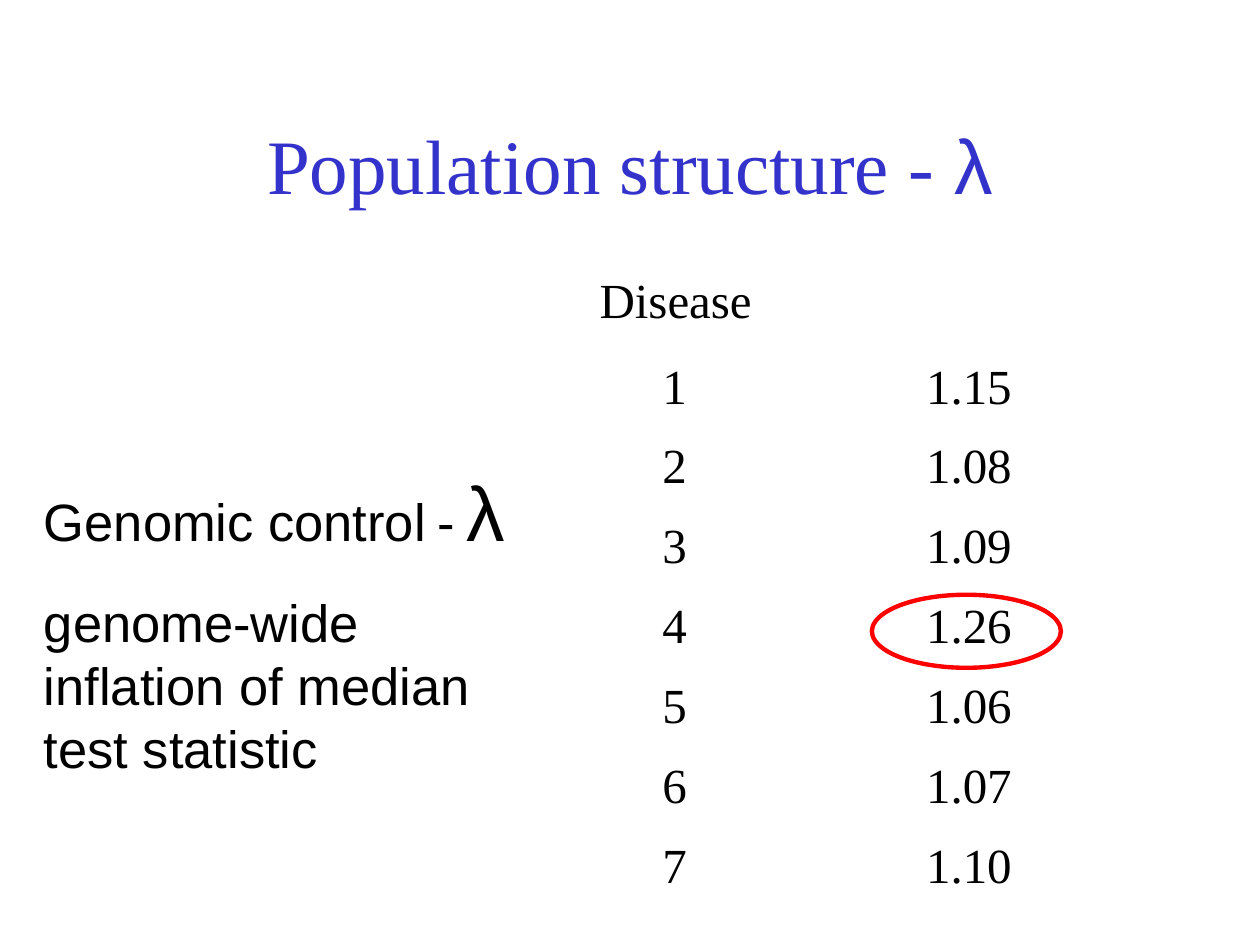
import pptx
import pptx.util
import pptx.dml.color
import pptx.enum.shapes
import pptx.enum.text

Inches, Pt = pptx.util.Inches, pptx.util.Pt
RGBColor = pptx.dml.color.RGBColor
CENTER = pptx.enum.text.PP_ALIGN.CENTER
MIDDLE = pptx.enum.text.MSO_ANCHOR.MIDDLE

BLACK = RGBColor(0x00, 0x00, 0x00)
BLUE = RGBColor(0x33, 0x33, 0xCC)
RED = RGBColor(0xFF, 0x00, 0x00)
SERIF, SANS = "Times New Roman", "Arial"

# Content: runs are (text, size, font)
TITLE = [[("Population structure - ", 44, SERIF), ("λ", 44, SANS)]]
DEFINITION = [
    [("Genomic control", 30, SANS), (" ", 24, SANS), ("-", 30, SANS),
     (" ", 24, SANS), ("λ", 44, SANS)],
    [("genome-wide inflation of median test statistic", 30, SANS)],
]
HEADING = [[("Disease", 28, SERIF)]]
LAMBDAS = ["1.15", "1.08", "1.09", "1.26", "1.06", "1.07", "1.10"]
COLUMN_WIDTHS = [1.87, 2.8]
TABLE_LEFT, TABLE_TOP, TABLE_HEIGHT = 4.42, 2.81, 4.44


def style(font, size, name, color):
    font.size, font.name, font.color.rgb = Pt(size), name, color


def add_text(slide, box, paragraphs, color=BLACK, wrap=True, space_before=0):
    frame = slide.shapes.add_textbox(*map(Inches, box)).text_frame
    frame.word_wrap = wrap
    for index, runs in enumerate(paragraphs):
        paragraph = frame.add_paragraph() if index else frame.paragraphs[0]
        if index:
            paragraph.space_before = Pt(space_before)
        for text, size, name in runs:
            run = paragraph.add_run()
            run.text = text
            style(run.font, size, name, color)
    return frame


def main():
    deck = pptx.Presentation()
    deck.slide_width, deck.slide_height = Inches(10), Inches(7.5)
    slide = deck.slides.add_slide(deck.slide_layouts[6])

    # Title
    title = add_text(slide, (0.75, 0.67, 8.5, 1.25), TITLE, BLUE)
    title.vertical_anchor = MIDDLE
    title.paragraphs[0].alignment = CENTER

    # Inflation per disease
    table = slide.shapes.add_table(
        len(LAMBDAS), len(COLUMN_WIDTHS), Inches(TABLE_LEFT), Inches(TABLE_TOP),
        Inches(sum(COLUMN_WIDTHS)), Inches(TABLE_HEIGHT)).table
    table.first_row = table.horz_banding = False
    for column, width in zip(table.columns, COLUMN_WIDTHS):
        column.width = Inches(width)
    for row, (disease, inflation) in enumerate(enumerate(LAMBDAS, 1)):
        for column, text in enumerate((str(disease), inflation)):
            cell = table.cell(row, column)
            cell.fill.background()
            cell.text = text
            paragraph = cell.text_frame.paragraphs[0]
            paragraph.alignment = CENTER
            style(paragraph.runs[0].font, 28, SERIF, BLACK)

    # Ring around the highest value
    ring = slide.shapes.add_shape(
        pptx.enum.shapes.MSO_SHAPE.OVAL,
        Inches(6.92), Inches(4.72), Inches(1.5), Inches(0.58))
    ring.shadow.inherit = False
    ring.fill.background()
    ring.line.color.rgb = RED
    ring.line.width = Pt(2.5)

    # Definition and table heading
    add_text(slide, (0.25, 3.64, 4.08, 2.6), DEFINITION, space_before=18.7)
    add_text(slide, (4.66, 2.09, 1.41, 0.57), HEADING, wrap=False)

    deck.save("out.pptx")


if __name__ == "__main__":
    main()
